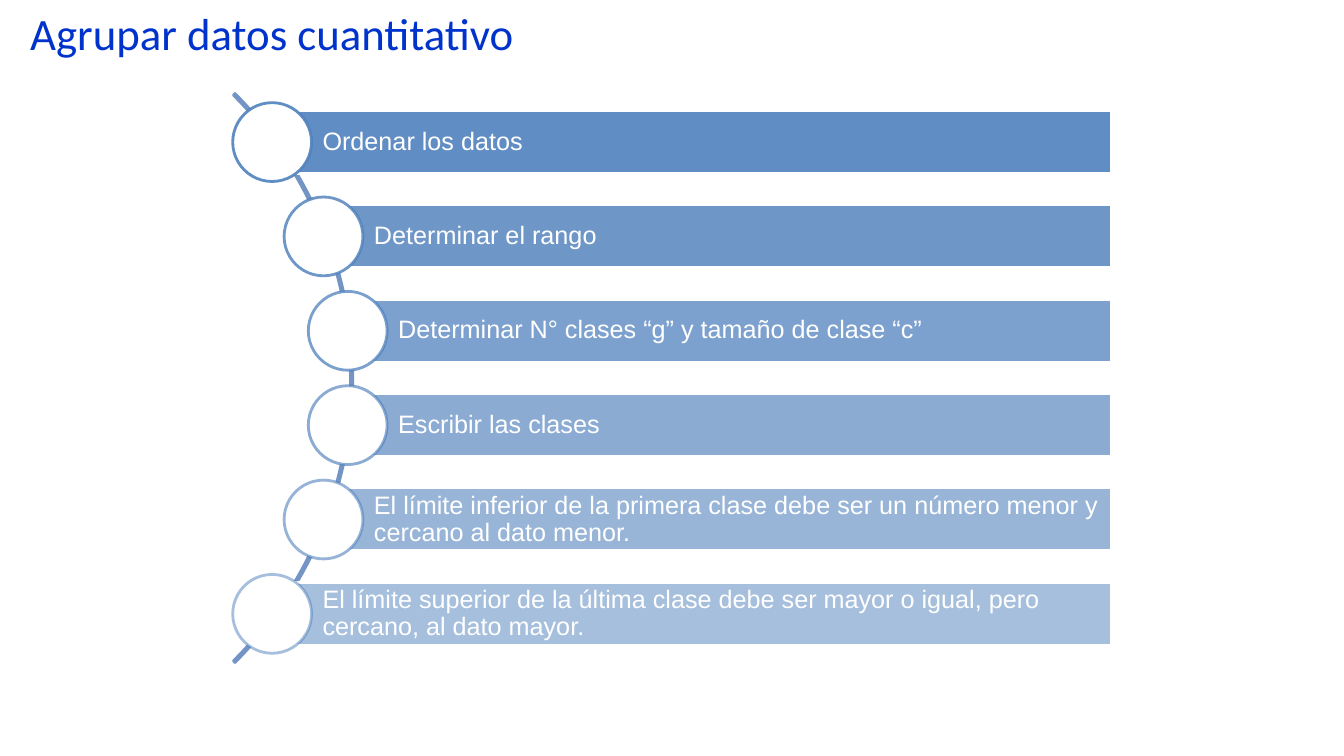
import pptx
import pptx.util
import pptx.dml.color
import pptx.enum.shapes
import pptx.enum.text
import pptx.oxml.ns
import lxml.etree

Pt = pptx.util.Pt
Shape = pptx.enum.shapes.MSO_SHAPE
Align = pptx.enum.text.PP_ALIGN
Anchor = pptx.enum.text.MSO_ANCHOR
Fit = pptx.enum.text.MSO_AUTO_SIZE

COLORS = {"title": "0033CC", "blue": "4F81BD", "arc": "7394C5", "white": "FFFFFF"}

STEPS = [
    "Ordenar los datos",
    "Determinar el rango",
    "Determinar N° clases “g” y tamaño de clase “c”",
    "Escribir las clases",
    "El límite inferior de la primera clase debe ser un número menor y "
    "cercano al dato menor.",
    "El límite superior de la última clase debe ser mayor o igual, pero "
    "cercano, al dato mayor.",
]
LEFTS = [194.4, 231.1, 248.4]  # the lower half mirrors the upper
RIGHT = 794.2
TOP, STEP = 101.5, 67.4  # middle of the first row, distance between rows
BAR, DISC = 44.9, 56.3
ARC = 574.6


class Deck:
    """Holds the style and the current slide."""

    def __init__(self):
        """Start a wide deck with one titled slide."""
        self.prs = pptx.Presentation()
        self.prs.slide_width, self.prs.slide_height = Pt(960), Pt(540)
        self.slide = self.prs.slides.add_slide(self.prs.slide_layouts[5])

    def rgb(self, name):
        """Look up a colour by name."""
        return pptx.dml.color.RGBColor.from_string(COLORS[name])

    def fade(self, color, alpha):
        """Set the opacity, in percent, of a fill or line."""
        tag = color._xPr.find(".//" + pptx.oxml.ns.qn("a:srgbClr"))
        node = lxml.etree.SubElement(tag, pptx.oxml.ns.qn("a:alpha"))
        node.set("val", str(alpha * 1000))

    def font(self, para, name, size, color):
        """Format the runs of a paragraph."""
        for run in para.runs:
            run.font.name, run.font.size = name, Pt(size)
            run.font.color.rgb = self.rgb(color)

    def title(self, text, x, y, w, h):
        """Place and format the title."""
        box = self.slide.shapes.title
        box.left, box.top, box.width, box.height = Pt(x), Pt(y), Pt(w), Pt(h)
        frame = box.text_frame
        frame.text = text
        frame.auto_size = Fit.SHAPE_TO_FIT_TEXT
        frame.vertical_anchor = Anchor.TOP
        frame.paragraphs[0].alignment = Align.JUSTIFY
        self.font(frame.paragraphs[0], "Calibri", 32, "title")

    def shape(self, kind, x, y, w, h, line, fill=None):
        """Add a preset shape with a two-point line."""
        item = self.slide.shapes.add_shape(kind, Pt(x), Pt(y), Pt(w), Pt(h))
        item.shadow.inherit = False
        item.line.width = Pt(2)
        item.line.color.rgb = self.rgb(line)
        if fill:
            item.fill.solid()
            item.fill.fore_color.rgb = self.rgb(fill)
        else:
            item.fill.background()
        return item

    def arc(self, x, mid, size):
        """Add the thin arc that threads the discs."""
        item = self.shape(Shape.BLOCK_ARC, x, mid - size / 2, size, size, "arc")
        for i, value in enumerate([189, 27, 0.0027]):
            item.adjustments[i] = value

    def bar(self, text, x, mid, alpha):
        """Add a bar with its text."""
        item = self.shape(Shape.RECTANGLE, x, mid - BAR / 2, RIGHT - x, BAR,
                          "white", "blue")
        self.fade(item.fill, alpha)
        frame = item.text_frame
        frame.text = text
        frame.word_wrap = True
        frame.vertical_anchor = Anchor.MIDDLE
        frame.margin_left = Pt(36)
        frame.margin_right = frame.margin_top = frame.margin_bottom = Pt(3.6)
        para = frame.paragraphs[0]
        para.alignment, para.line_spacing = Align.LEFT, 0.9
        self.font(para, "Arial", 18, "white")

    def disc(self, x, mid, alpha):
        """Add a white disc centred on the left end of a bar."""
        item = self.shape(Shape.OVAL, x - DISC / 2, mid - DISC / 2, DISC, DISC,
                          "blue", "white")
        self.fade(item.line.fill, alpha)


deck = Deck()
deck.title("Agrupar datos cuantitativo", 14.4, 0.7, 561.6, 46)
deck.arc(-322.6, TOP + 2.5 * STEP, ARC)
for row, (step, left) in enumerate(zip(STEPS, LEFTS + LEFTS[::-1])):
    mid, alpha = TOP + row * STEP, 90 - 8 * row
    deck.bar(step, left, mid, alpha)
    deck.disc(left, mid, alpha)
deck.prs.save("out.pptx")
